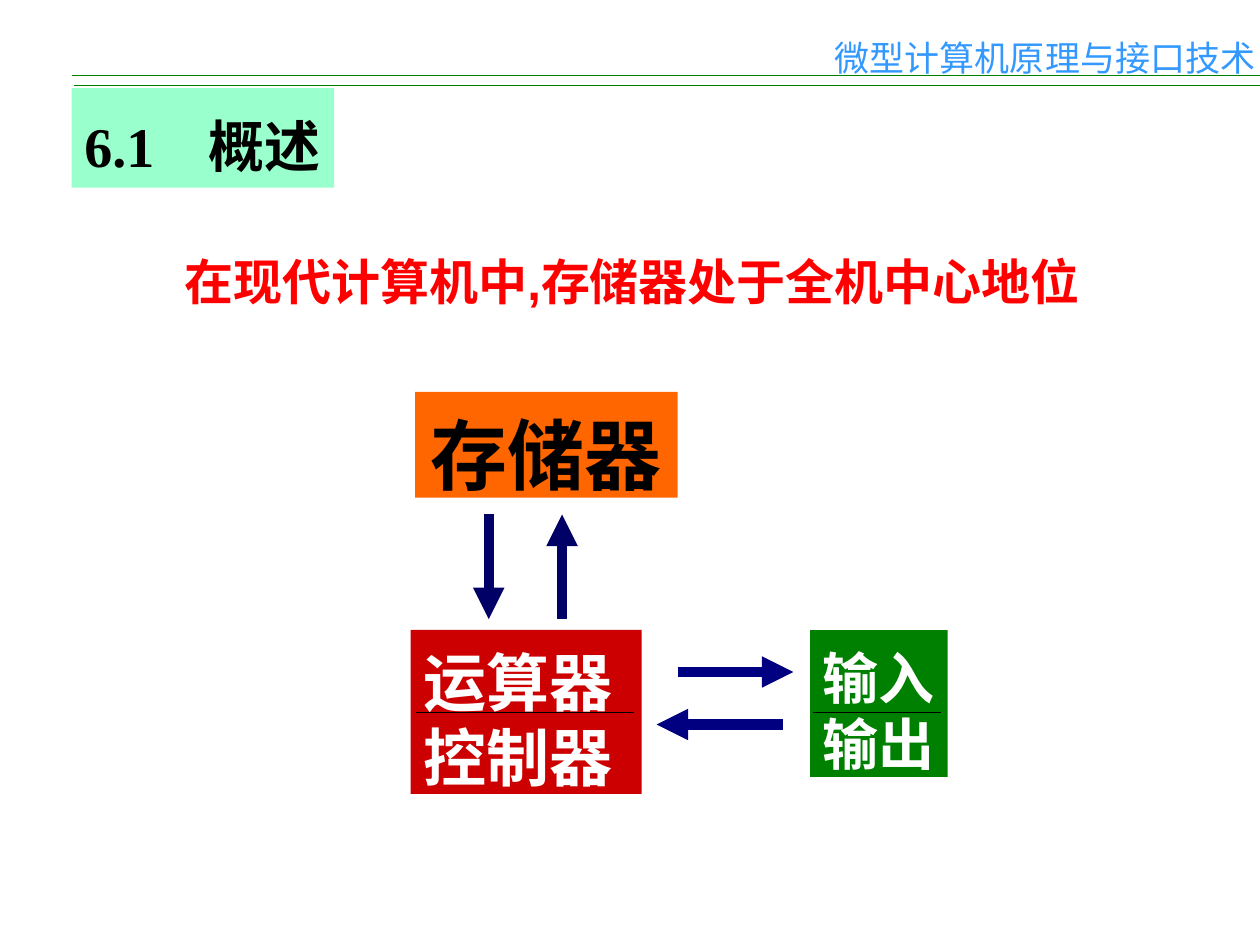
from typing import NamedTuple

from lxml import etree
from pptx import Presentation
from pptx.dml.color import RGBColor
from pptx.enum.shapes import MSO_CONNECTOR, MSO_SHAPE
from pptx.enum.text import MSO_ANCHOR, MSO_AUTO_SIZE, PP_ALIGN
from pptx.oxml.ns import qn
from pptx.util import Pt

RECT, LINE = MSO_SHAPE.RECTANGLE, MSO_CONNECTOR.STRAIGHT
LEFT, MID = PP_ALIGN.LEFT, PP_ALIGN.CENTER
TOP, FIXED = MSO_ANCHOR.TOP, MSO_AUTO_SIZE.NONE

BLACK = RGBColor(0x00, 0x00, 0x00)
WHITE = RGBColor(0xFF, 0xFF, 0xFF)
RED = RGBColor(0xFF, 0x00, 0x00)
SKY = RGBColor(0x33, 0x99, 0xFF)
MINT = RGBColor(0x99, 0xFF, 0xCC)
ORANGE = RGBColor(0xFF, 0x66, 0x00)
BRICK = RGBColor(0xCC, 0x00, 0x00)
GREEN = RGBColor(0x00, 0x80, 0x00)
DARK = RGBColor(0x00, 0x00, 0x66)
NAVY = RGBColor(0x00, 0x00, 0x80)

SANS, ARIAL, TIMES = "Noto Sans CJK SC", "Arial", "Times New Roman"
PITCH = 1.19  # line height, in ems
DROP = 0.13  # extra room over the first line, in ems


class Box(NamedTuple):
    x: float
    y: float
    w: float
    h: float
    lines: tuple[str, ...]
    size: float
    ink: RGBColor
    fill: RGBColor | None = None
    font: str = SANS
    bold: bool = True
    align: PP_ALIGN = LEFT
    wrap: bool = True
    pad: float = 3.6


class Rule(NamedTuple):
    x1: float
    y1: float
    x2: float
    y2: float
    ink: RGBColor
    width: float = 0.75
    head: bool = False


TITLE = Box(41, 50.4, 150, 56.9, ("6.1\t概述",), 32, BLACK, MINT, TIMES,
            wrap=False, pad=9.4)
BOXES = (
    Box(496.1, 15.1, 202.3, 20.2, ("微型计算机原理与接口技术",), 20, SKY,
        bold=False, align=MID, wrap=False),
    Box(98.6, 136.8, 576.7, 41, ("在现代计算机中,存储器处于全机中心地位",), 28, RED,
        font=ARIAL),
    Box(237.2, 224, 150, 60.5, ("存储器",), 44, BLACK, ORANGE, align=MID),
    Box(234.7, 360, 132, 93.7, ("运算器控制器",), 36, WHITE, BRICK),
    Box(462.9, 360, 78.6, 84, ("输入", "输出"), 32, WHITE, GREEN, wrap=False),
)
RULES = (
    Rule(42.3, 48.8, 720, 48.8, GREEN),
    Rule(41, 43.1, 720, 43.1, GREEN),
    Rule(279.3, 294, 279.3, 353.8, DARK, 6, True),
    Rule(321.2, 353.8, 321.2, 294, DARK, 6, True),
    Rule(387.2, 384, 453.4, 384, NAVY, 6, True),
    Rule(447.2, 414, 375.2, 414, NAVY, 6, True),
    Rule(237.6, 407, 362.2, 407, BLACK),
    Rule(464.6, 407, 538, 407, BLACK),
)


def write(shape, box: Box) -> None:
    frame = shape.text_frame
    frame.auto_size = FIXED
    frame.word_wrap = box.wrap
    frame.vertical_anchor = TOP
    frame.margin_left = frame.margin_right = Pt(7.2)
    frame.margin_top = Pt(box.pad + DROP * box.size)
    frame.margin_bottom = Pt(0)
    for i, line in enumerate(box.lines):
        para = frame.add_paragraph() if i else frame.paragraphs[0]
        para.alignment = box.align
        para.line_spacing = Pt(PITCH * box.size)
        run = para.add_run()
        run.text = line
        font = run.font
        font.name, font.size, font.bold = box.font, Pt(box.size), box.bold
        font.color.rgb = box.ink
        east = etree.SubElement(run._r.get_or_add_rPr(), qn("a:ea"))
        east.set("typeface", SANS)


def draw_box(slide, box: Box) -> None:
    place = [Pt(n) for n in box[:4]]
    if box.fill is None:
        shape = slide.shapes.add_textbox(*place)
    else:
        shape = slide.shapes.add_shape(RECT, *place)
        shape.shadow.inherit = False
        shape.fill.solid()
        shape.fill.fore_color.rgb = box.fill
        shape.line.fill.background()
    write(shape, box)


def draw_title(slide, box: Box) -> None:
    """Format the title, with a tab stop between number and name."""
    title = slide.shapes.title
    title.left, title.top, title.width, title.height = (Pt(n) for n in box[:4])
    title.fill.solid()
    title.fill.fore_color.rgb = box.fill
    write(title, box)
    props = title.text_frame.paragraphs[0]._p.get_or_add_pPr()
    tabs = etree.SubElement(props, qn("a:tabLst"))
    etree.SubElement(tabs, qn("a:tab"), pos=str(int(Pt(71))), algn="l")


def draw_rule(slide, rule: Rule) -> None:
    link = slide.shapes.add_connector(LINE, *(Pt(n) for n in rule[:4]))
    link.line.color.rgb = rule.ink
    link.line.width = Pt(rule.width)
    if rule.head:
        etree.SubElement(link.line._get_or_add_ln(), qn("a:tailEnd"),
                         type="triangle")
    etree.SubElement(link._element.spPr, qn("a:effectLst"))


def main() -> None:
    deck = Presentation()
    deck.slide_width, deck.slide_height = Pt(720), Pt(540)
    slide = deck.slides.add_slide(deck.slide_layouts[5])
    draw_title(slide, TITLE)
    for box in BOXES:
        draw_box(slide, box)
    for rule in RULES:
        draw_rule(slide, rule)
    deck.save("out.pptx")


if __name__ == "__main__":
    main()
